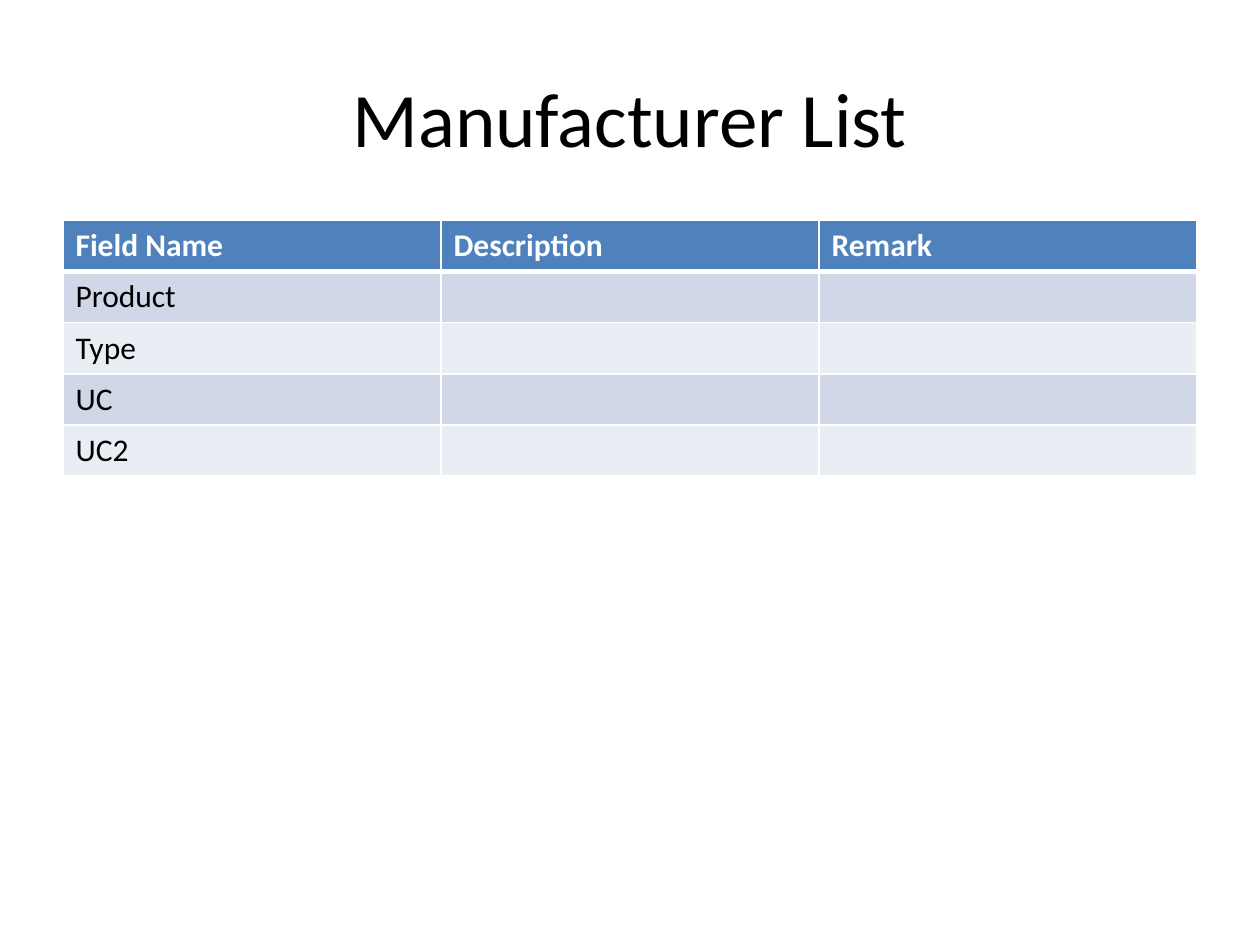
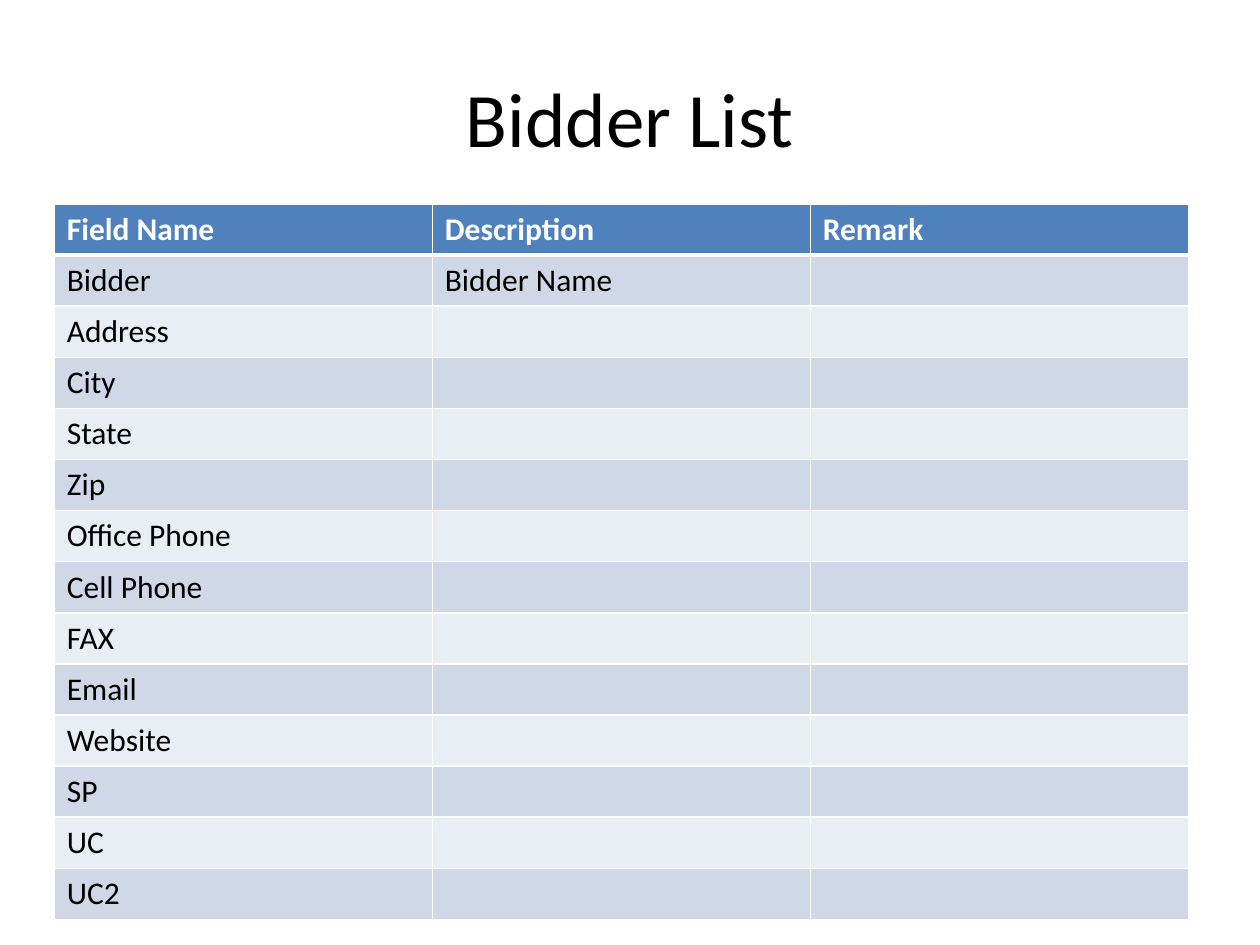
"""Build two slides that list the fields of the manufacturer and bidder lists."""
from lxml.etree import SubElement
from pptx import Presentation
from pptx.dml.color import RGBColor as Rgb
from pptx.enum.text import MSO_ANCHOR as Anchor, PP_ALIGN as Align
from pptx.oxml.ns import qn
from pptx.util import Pt

COLORS = {
    "header": "4F81BD",
    "odd_row": "D0D8E8",
    "even_row": "E9EDF4",
    "border": "FFFFFF",
    "header_text": "FFFFFF",
    "text": "000000",
}
FONT = "Calibri"
TITLE_FORMAT = {"name": FONT, "size": Pt(44), "bold": False}
HEADER_FORMAT = {"name": FONT, "size": Pt(18), "bold": True}
BODY_FORMAT = {"name": FONT, "size": Pt(18), "bold": False}
TITLE_BOX = {"left": Pt(36), "top": Pt(21.6), "width": Pt(648), "height": Pt(90)}
TITLE_ONLY_LAYOUT = 5
COLUMN_WIDTH = 216
ROW_HEIGHT = 29.2
THIN, THICK = 1, 3

HEADERS = ["Field Name", "Description", "Remark"]
MANUFACTURER_FIELDS = ["Product", "Type", "UC", "UC2"]
BIDDER_FIELDS = [
    "Bidder", "Address", "City", "State", "Zip", "Office Phone", "Cell Phone",
    "FAX", "Email", "Website", "SP", "UC", "UC2",
]
BIDDER_DESCRIPTIONS = {"Bidder": "Bidder Name"}


def set_attributes(target, values):
    for name, value in values.items():
        setattr(target, name, value)


def format_font(font, values, color):
    set_attributes(font, values)
    font.color.rgb = Rgb.from_string(COLORS[color])


def add_titled_slide(presentation, title):
    slide = presentation.slides.add_slide(presentation.slide_layouts[TITLE_ONLY_LAYOUT])
    shape = slide.shapes.title
    set_attributes(shape, TITLE_BOX)
    shape.text_frame.text = title
    shape.text_frame.vertical_anchor = Anchor.MIDDLE
    paragraph = shape.text_frame.paragraphs[0]
    paragraph.alignment = Align.CENTER
    format_font(paragraph.runs[0].font, TITLE_FORMAT, "text")
    return slide


def add_borders(cell, widths):
    properties = cell._tc.get_or_add_tcPr()
    for side, width in widths.items():
        line = SubElement(properties, qn(f"a:ln{side}"), w=str(Pt(width)))
        fill = SubElement(line, qn("a:solidFill"))
        SubElement(fill, qn("a:srgbClr"), val=COLORS["border"])


def format_cell(cell, text, row_index):
    is_header = row_index == 0
    band = "header" if is_header else "odd_row" if row_index % 2 else "even_row"
    add_borders(cell, {
        "L": THIN,
        "R": THIN,
        "T": THICK if row_index == 1 else THIN,
        "B": THICK if is_header else THIN,
    })
    cell.fill.solid()
    cell.fill.fore_color.rgb = Rgb.from_string(COLORS[band])
    cell.text = text
    format_font(
        cell.text_frame.paragraphs[0].font if not text
        else cell.text_frame.paragraphs[0].runs[0].font,
        HEADER_FORMAT if is_header else BODY_FORMAT,
        "header_text" if is_header else "text",
    )


def add_field_table(slide, left, top, fields, descriptions):
    rows = [HEADERS] + [[field, descriptions.get(field, ""), ""] for field in fields]
    table = slide.shapes.add_table(
        len(rows), len(HEADERS), Pt(left), Pt(top),
        Pt(COLUMN_WIDTH * len(HEADERS)), Pt(ROW_HEIGHT * len(rows)),
    ).table
    for column in table.columns:
        column.width = Pt(COLUMN_WIDTH)
    for row_index, texts in enumerate(rows):
        table.rows[row_index].height = Pt(ROW_HEIGHT)
        for cell, text in zip(table.rows[row_index].cells, texts):
            format_cell(cell, text, row_index)


def main():
    presentation = Presentation()
    presentation.slide_width, presentation.slide_height = Pt(720), Pt(540)
    manufacturer_slide = add_titled_slide(presentation, "Manufacturer List")
    add_field_table(manufacturer_slide, 36, 126, MANUFACTURER_FIELDS, {})
    bidder_slide = add_titled_slide(presentation, "Bidder List")
    add_field_table(bidder_slide, 31, 116.6, BIDDER_FIELDS, BIDDER_DESCRIPTIONS)
    presentation.save("out.pptx")


if __name__ == "__main__":
    main()
